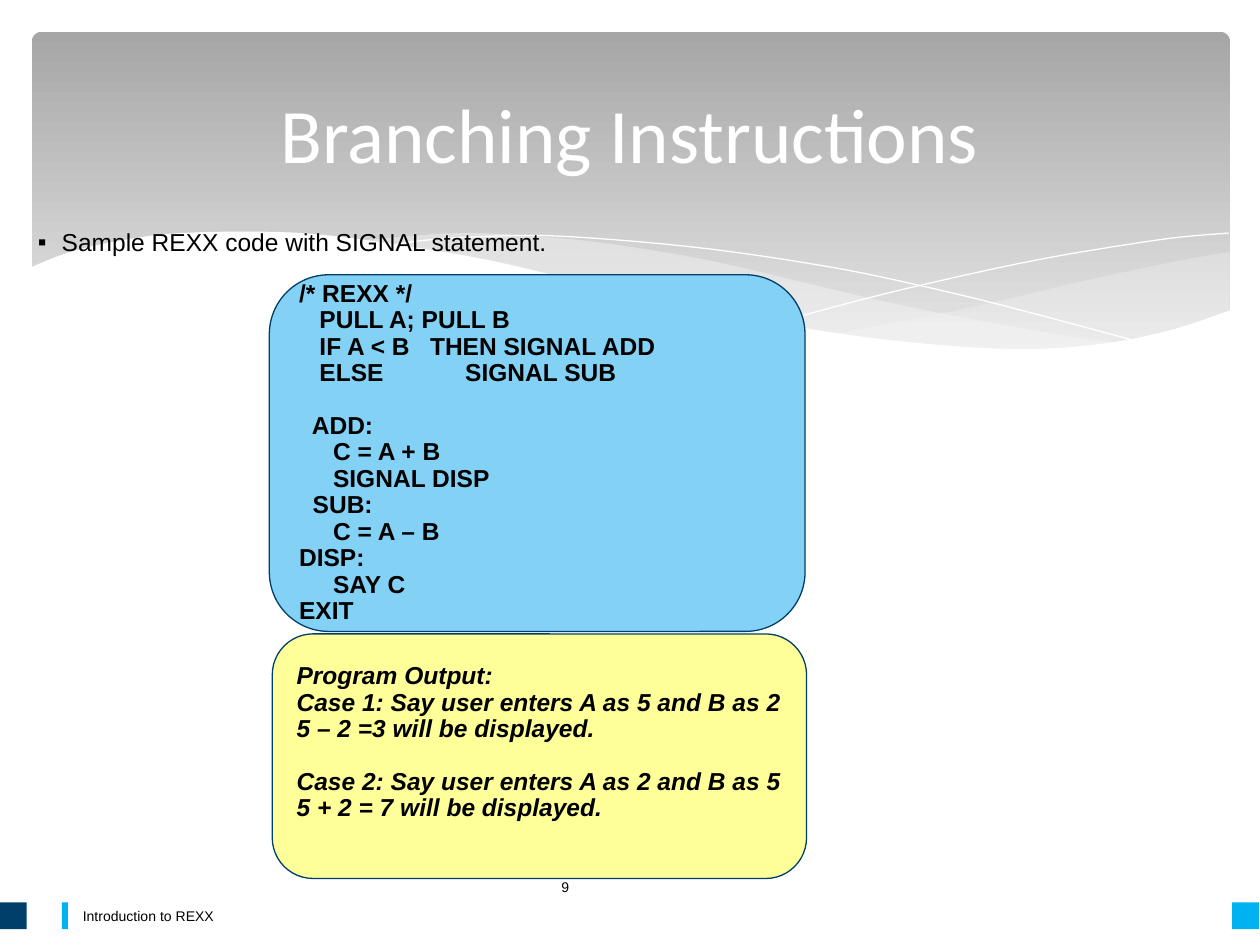
from lxml import etree
from pptx import Presentation
from pptx import util as u
from pptx.dml.color import RGBColor
from pptx.enum import shapes, text
from pptx.oxml import ns

COLOURS = {
    "banner_top": "A6A6A6", "banner_bottom": "EBEBEB", "mist": "F8F8F8",
    "white": "FFFFFF", "black": "000000", "navy": "003F69", "cyan": "00B2EF",
    "code": "83D1F5", "output": "FFFF99",
}

# Curves as points in cm
RIGHT_TOP = [(24.79, 5.08), (23.75, 5.26), (21.87, 5.66), (19.79, 6.15), (17.93, 6.53),
             (16.79, 6.73)]
RIGHT_BOTTOM = [(16.79, 6.73), (17.91, 6.88), (19.23, 7.01), (20.4, 7.06), (21.69, 7.01),
                (22.99, 6.83), (23.93, 6.58), (24.79, 6.27)]
MIDDLE_TOP = [(22.68, 6.93), (21.26, 6.73), (19.69, 6.45), (17.93, 6.1), (15.98, 5.64),
              (14.45, 5.28), (13.06, 5.03), (11.79, 4.85), (10.67, 4.75), (9.65, 4.7),
              (8.74, 4.72), (7.26, 4.85)]
MIDDLE_BOTTOM = [(7.26, 4.85), (8.69, 5.05), (10.26, 5.36), (11.4, 5.64), (13.46, 6.1),
                 (15.27, 6.48), (16.89, 6.76), (18.34, 6.96), (19.63, 7.06),
                 (20.78, 7.09), (21.77, 7.04), (22.68, 6.93)]
FALLING_LINE = [(7.85, 4.95), (8.51, 4.85), (9.5, 4.78), (11, 4.75), (12.95, 4.88),
                (14.78, 5.08), (16.89, 5.41), (18.47, 5.74), (20.19, 6.15), (23.04, 6.91)]
RISING_LINE = [(15.57, 6.53), (17.65, 5.97), (19.71, 5.49), (21.23, 5.18), (22.73, 4.93),
               (23.8, 4.78), (24.77, 4.7)]
WAVE_EDGE = [(24.82, 6.25), (23.62, 6.65), (22.23, 6.93), (20.55, 7.04), (18.44, 6.91),
             (16.43, 6.65), (14.1, 6.22), (12.07, 5.77), (9.93, 5.26), (8, 4.93),
             (6.35, 4.72), (4.9, 4.67), (3.35, 4.72), (2.16, 4.9), (1.32, 5.11),
             (0.58, 5.41)]
WAVE_BASE = [(0.58, 8.36), (24.82, 8.36)]

CODE = [
    "/* REXX */",
    "   PULL A; PULL B",
    "   IF A < B   THEN SIGNAL ADD",
    "   ELSE            SIGNAL SUB",
    "  ADD:",
    "     C = A + B",
    "     SIGNAL DISP",
    "  SUB:",
    "     C = A – B",
    "DISP:",
    "     SAY C",
    "EXIT",
]
OUTPUT = [
    "Program Output:",
    "Case 1: Say user enters A as 5 and B as 2",
    "5 – 2 =3 will be displayed.",
    "Case 2: Say user enters A as 2 and B as 5",
    "5 + 2 = 7 will be displayed.",
]


def colour(name):
    return RGBColor.from_string(COLOURS[name])


def set_font(para, size, colour_name="black", name="Arial", bold=False, italic=False):
    font = para.font
    font.name, font.size, font.bold, font.italic = name, u.Pt(size), bold, italic
    font.color.rgb = colour(colour_name)


def place(shape, left, top, width, height):
    shape.left, shape.top = u.Cm(left), u.Cm(top)
    shape.width, shape.height = u.Cm(width), u.Cm(height)


def smooth(points, steps=4):
    """Return points along a Catmull-Rom curve through the given points."""
    padded = [points[0], *points, points[-1]]
    curve = [points[0]]
    for a, b, c, d in zip(padded, padded[1:], padded[2:], padded[3:]):
        for step in range(1, steps + 1):
            t = step / steps
            curve.append(tuple(
                (2 * q + (r - p) * t + (2 * p - 5 * q + 4 * r - s) * t ** 2
                 + (3 * q - p - 3 * r + s) * t ** 3) / 2
                for p, q, r, s in zip(a, b, c, d)))
    return curve


def add_outline(slide, points, close):
    (x, y), *rest = [(u.Cm(x), u.Cm(y)) for x, y in points]
    builder = slide.shapes.build_freeform(x, y)
    builder.add_line_segments(rest, close=close)
    outline = builder.convert_to_shape()
    outline.shadow.inherit = False
    return outline


def add_area(slide, points, fill, opacity=100):
    area = add_outline(slide, points, True)
    area.fill.solid()
    area.fill.fore_color.rgb = colour(fill)
    area.line.fill.background()
    if opacity < 100:
        rgb = area.fill._xPr.find(".//" + ns.qn("a:srgbClr"))
        etree.SubElement(rgb, ns.qn("a:alpha"), val=str(opacity * 1000))


def add_curve(slide, points):
    curve = add_outline(slide, smooth(points), False)
    curve.fill.background()
    curve.line.color.rgb = colour("white")
    curve.line.width = u.Pt(0)


def add_block(slide, kind, bounds, fill=None, line=None):
    block = slide.shapes.add_shape(kind, *map(u.Cm, bounds))
    block.shadow.inherit = False
    if fill:
        block.fill.solid()
        block.fill.fore_color.rgb = colour(fill)
    if line:
        block.line.color.rgb = colour(line)
        block.line.width = u.Pt(0.75)
    else:
        block.line.fill.background()
    return block


def add_banner(slide):
    banner = add_block(slide, shapes.MSO_SHAPE.ROUNDED_RECTANGLE, (0.64, 0.64, 24.16, 6.86))
    banner.adjustments[0] = 0.03
    banner.fill.gradient()
    banner.fill.gradient_angle = 270
    for stop, name in zip(banner.fill.gradient_stops, ("banner_top", "banner_bottom")):
        stop.color.rgb = colour(name)
    add_area(slide, smooth(RIGHT_TOP) + smooth(RIGHT_BOTTOM), "mist", 29)
    add_area(slide, smooth(MIDDLE_TOP) + smooth(MIDDLE_BOTTOM), "mist", 40)
    add_curve(slide, FALLING_LINE)
    add_curve(slide, RISING_LINE)
    add_area(slide, smooth(WAVE_EDGE) + WAVE_BASE, "white")


def add_label(slide, bounds, words):
    box = slide.shapes.add_textbox(*map(u.Cm, bounds))
    frame = box.text_frame
    frame.word_wrap = True
    frame.vertical_anchor = text.MSO_ANCHOR.MIDDLE
    frame.text = words
    set_font(frame.paragraphs[0], 8)


def add_panel(slide, bounds, fill, lines, gap_before, italic=False):
    """Add a rounded panel of bold lines with a gap above one of them."""
    panel = add_block(slide, shapes.MSO_SHAPE.FLOWCHART_ALTERNATE_PROCESS, bounds, fill, "navy")
    frame = panel.text_frame
    frame.word_wrap = False
    frame.vertical_anchor = text.MSO_ANCHOR.MIDDLE
    frame.text = "\n".join(lines)
    for index, para in enumerate(frame.paragraphs):
        para.alignment = text.PP_ALIGN.LEFT
        para.line_spacing = 0.9
        if index == gap_before:
            para.space_before = u.Pt(15)
        set_font(para, 14, bold=True, italic=italic)
    return panel


def fill_title(slide, title):
    slide.shapes._spTree.append(title._element)  # in front of the banner
    place(title, 1.27, 0.94, 22.86, 3.48)
    frame = title.text_frame
    frame.text = "Branching Instructions"
    frame.auto_size = text.MSO_AUTO_SIZE.NONE
    frame.vertical_anchor = text.MSO_ANCHOR.MIDDLE
    para = frame.paragraphs[0]
    para.alignment = text.PP_ALIGN.CENTER
    set_font(para, 44, "white", "Calibri")


def fill_body(slide, body):
    slide.shapes._spTree.append(body._element)
    place(body, 0.51, 4.45, 24.13, 3.07)
    frame = body.text_frame
    frame.text = "Sample REXX code with SIGNAL statement."
    frame.auto_size = text.MSO_AUTO_SIZE.NONE
    para = frame.paragraphs[0]
    para.space_before = u.Pt(0)
    props = para._p.get_or_add_pPr()
    props.set("marL", str(u.Cm(0.48)))
    props.set("indent", str(u.Cm(-0.48)))
    bullet_colour = etree.SubElement(props, ns.qn("a:buClr"))
    etree.SubElement(bullet_colour, ns.qn("a:srgbClr"), val=COLOURS["black"])
    etree.SubElement(props, ns.qn("a:buChar"), char="▪")
    set_font(para, 14)


def main():
    deck = Presentation()
    deck.slide_width, deck.slide_height = u.Cm(25.4), u.Cm(19.05)
    slide = deck.slides.add_slide(deck.slide_layouts[1])
    title, body = slide.placeholders
    add_banner(slide)
    add_label(slide, (1.42, 18.14, 19.79, 0.66), "Introduction to REXX")
    for left, width, fill in ((0, 0.54, "navy"), (24.84, 0.54, "cyan"), (1.25, 0.12, "cyan")):
        add_block(slide, shapes.MSO_SHAPE.RECTANGLE, (left, 18.19, width, 0.54), fill)
    fill_title(slide, title)
    add_label(slide, (11.07, 17.37, 3.23, 1.02), "9")
    add_panel(slide, (5.43, 5.54, 10.8, 7.19), "code", CODE, 4)
    fill_body(slide, body)
    output = add_panel(slide, (5.49, 12.78, 10.77, 4.93), "output", OUTPUT, 3, italic=True)
    output.text_frame.margin_bottom = u.Cm(0.66)
    deck.save("out.pptx")


if __name__ == "__main__":
    main()
